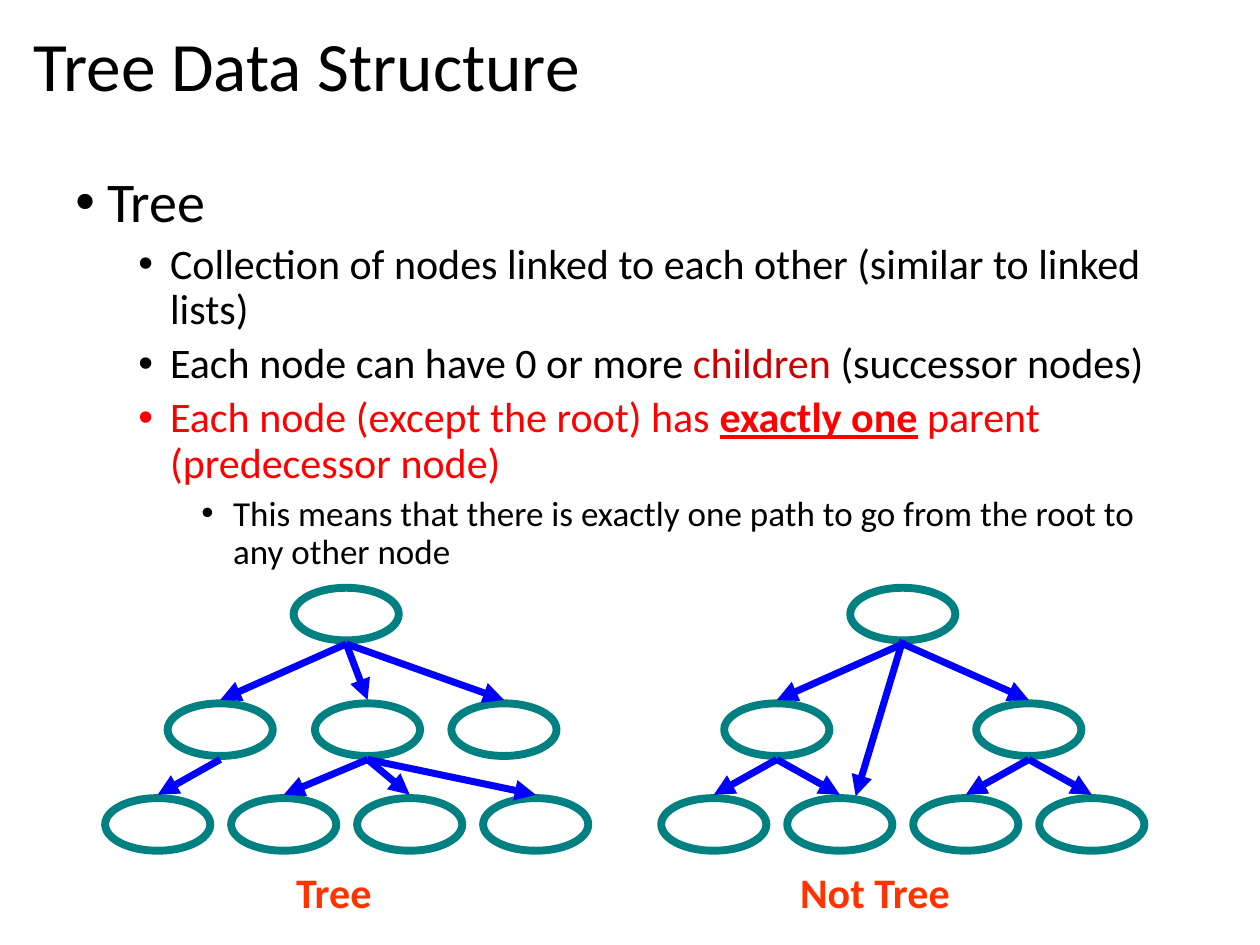
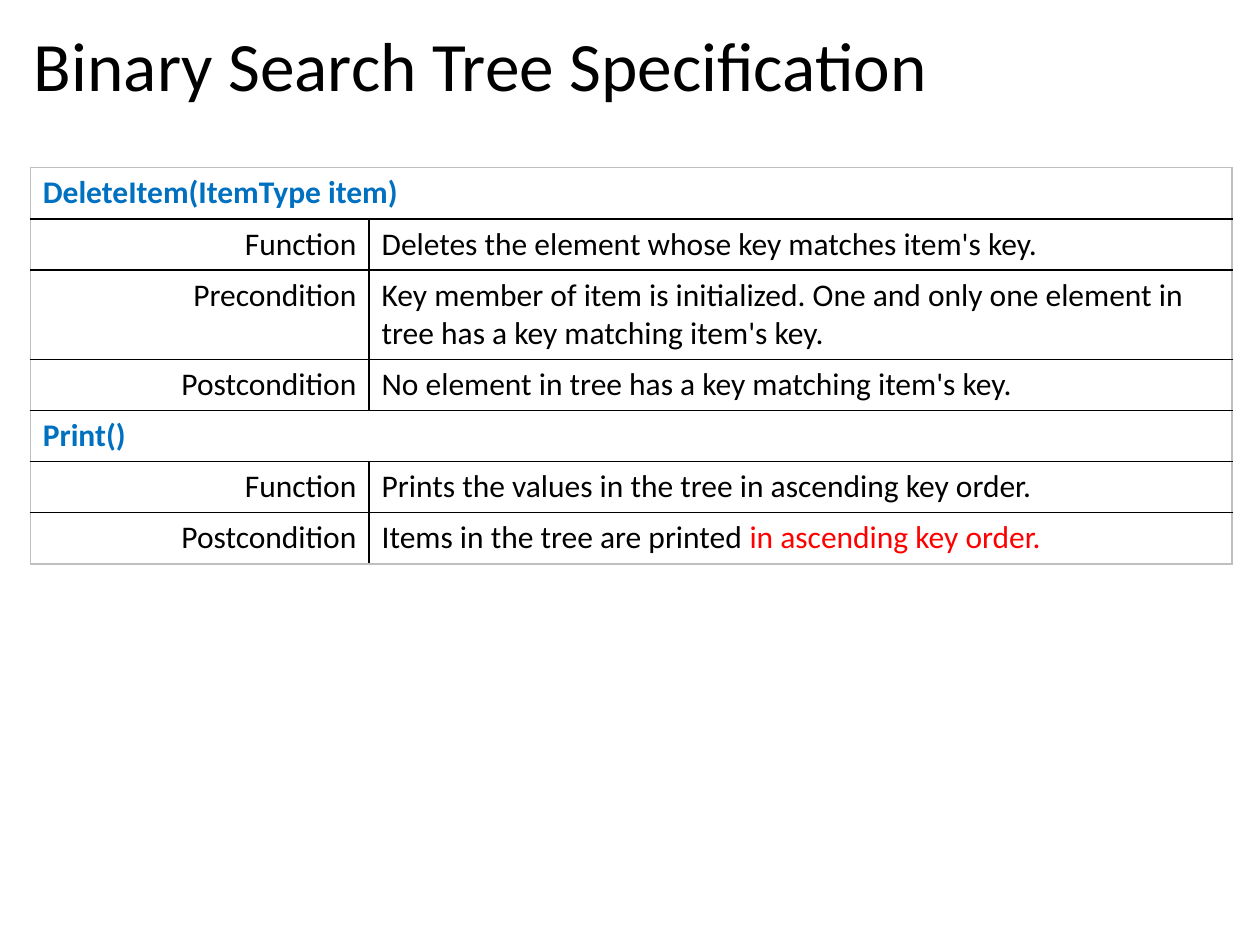
"""Builds two slides on tree data structures and a binary search tree specification."""
from dataclasses import dataclass

from lxml import etree
from pptx import Presentation
from pptx import util as u
from pptx.dml import color
from pptx.enum import shapes, text
from pptx.oxml import ns


@dataclass(frozen=True)
class Theme:
    font: str = "Calibri"
    ink: str = "000000"
    red: str = "FF0000"
    dark_red: str = "CC0000"
    label: str = "FF3300"
    heading: str = "0070C0"
    node: str = "008080"
    arrow: str = "0000FF"
    frame: str = "BFBFBF"
    title_size: float = 39.6
    level_sizes: tuple = (32, 24, 20)
    label_size: float = 24
    table_size: float = 18
    node_line: float = 4.5
    arrow_line: float = 4
    table_line: float = 1


@dataclass(frozen=True)
class Span:
    words: str
    color: str = Theme.ink
    bold: bool = False
    underline: bool = False


NODE_WIDTH, NODE_HEIGHT = 2.12, 1.06
LEVEL_TOPS = (11.85, 14.18, 16.09)
LEAF_STEP = 2.54
ARROW_GAP = 0.07
ROW_HEIGHT, TALL_ROW_HEIGHT = 1.03, 1.8


def rgb(value):
    return color.RGBColor.from_string(value)


def add_element(parent, tag, **attributes):
    return etree.SubElement(parent, ns.qn(tag), **attributes)


class Deck:
    def __init__(self, theme):
        self.theme = theme
        self.presentation = Presentation()
        self.presentation.slide_width = u.Cm(25.4)
        self.presentation.slide_height = u.Cm(19.05)
        self.slide = None

    def add_spans(self, paragraph, spans, size):
        for span in spans:
            run = paragraph.add_run()
            run.text = span.words
            font = run.font
            font.name, font.size = self.theme.font, u.Pt(size)
            font.bold, font.underline = span.bold, span.underline
            font.color.rgb = rgb(span.color)

    def new_slide(self, title):
        self.slide = self.presentation.slides.add_slide(self.presentation.slide_layouts[5])
        shape = self.slide.shapes.title
        shape.left, shape.top = u.Cm(0.43), u.Cm(0.46)
        shape.width, shape.height = u.Cm(24.43), u.Cm(1.88)
        frame = shape.text_frame
        frame.auto_size = text.MSO_AUTO_SIZE.NONE
        frame.vertical_anchor = text.MSO_ANCHOR.MIDDLE
        paragraph = frame.paragraphs[0]
        paragraph.alignment = text.PP_ALIGN.LEFT
        paragraph.line_spacing = 0.9
        self.add_spans(paragraph, [Span(title)], self.theme.title_size)

    def text_frame(self, left, top, width, height):
        box = self.slide.shapes.add_textbox(u.Cm(left), u.Cm(top), u.Cm(width), u.Cm(height))
        box.text_frame.word_wrap = True
        return box.text_frame

    def bullets(self, items):
        frame = self.text_frame(1.27, 3.38, 22.86, 15.24)
        for index, (level, spans) in enumerate(items):
            paragraph = frame.add_paragraph() if index else frame.paragraphs[0]
            paragraph.level = level
            properties = paragraph._p.get_or_add_pPr()
            properties.set("marL", str(u.Cm(0.64 + 1.27 * level)))
            properties.set("indent", str(-u.Cm(0.64)))
            add_element(properties, "a:buFont", typeface="Arial")
            add_element(properties, "a:buChar", char="•")
            paragraph.line_spacing = 0.9
            if index:
                paragraph.space_before = u.Pt(5)
            self.add_spans(paragraph, spans, self.theme.level_sizes[level])

    def label(self, words, left, width):
        frame = self.text_frame(left, 17.35, width, 1.27)
        span = Span(words, self.theme.label, bold=True)
        self.add_spans(frame.paragraphs[0], [span], self.theme.label_size)

    def node(self, center, top):
        shape = self.slide.shapes.add_shape(
            shapes.MSO_SHAPE.OVAL, u.Cm(center - NODE_WIDTH / 2), u.Cm(top),
            u.Cm(NODE_WIDTH), u.Cm(NODE_HEIGHT))
        shape.shadow.inherit = False
        shape.fill.background()
        shape.line.color.rgb = rgb(self.theme.node)
        shape.line.width = u.Pt(self.theme.node_line)

    def arrow(self, start, end):
        connector = self.slide.shapes.add_connector(
            shapes.MSO_CONNECTOR.STRAIGHT, *(u.Cm(value) for value in (*start, *end)))
        connector.line.color.rgb = rgb(self.theme.arrow)
        connector.line.width = u.Pt(self.theme.arrow_line)
        properties = connector._element.spPr
        add_element(properties.find(ns.qn("a:ln")), "a:tailEnd", type="triangle")
        add_element(properties, "a:effectLst")

    def tree(self, root, children, first_leaf, leaf_parents):
        leaves = [first_leaf + LEAF_STEP * index for index in range(len(leaf_parents))]
        for top, centers in zip(LEVEL_TOPS, ([root], children, leaves)):
            for center in centers:
                self.node(center, top)
        links = [(0, root, child) for child in children]
        links += [(1, children[parent], leaf) for parent, leaf in zip(leaf_parents, leaves)]
        for level, start, end in links:
            self.arrow((start, LEVEL_TOPS[level] + NODE_HEIGHT + ARROW_GAP),
                       (end, LEVEL_TOPS[level + 1] - ARROW_GAP))

    def borders(self, cell, outer):
        properties = cell._tc.get_or_add_tcPr()
        for side in "LRTB":
            line = add_element(properties, f"a:ln{side}", w=str(u.Pt(self.theme.table_line)))
            fill = add_element(line, "a:solidFill")
            add_element(fill, "a:srgbClr", val=self.theme.frame if side in outer else self.theme.ink)

    def specification(self, rows, tall_rows):
        heights = [TALL_ROW_HEIGHT if index in tall_rows else ROW_HEIGHT for index in range(len(rows))]
        widths = (6.83, 17.4)
        table = self.slide.shapes.add_table(
            len(rows), 2, u.Cm(0.61), u.Cm(3.38), u.Cm(sum(widths)), u.Cm(sum(heights))).table
        table.first_row = table.horz_banding = False
        for column, width in zip(table.columns, widths):
            column.width = u.Cm(width)
        for index, entries in enumerate(rows):
            table.rows[index].height = u.Cm(heights[index])
            is_heading = len(entries) == 1
            if is_heading:
                table.cell(index, 0).merge(table.cell(index, 1))
            vertical = "T" * (index == 0) + "B" * (index == len(rows) - 1)
            for column in range(2):
                cell = table.cell(index, column)
                self.borders(cell, vertical + ("LR" if is_heading else "LR"[column]))
                cell.fill.background()
            for column, spans in enumerate(entries):
                paragraph = table.cell(index, column).text_frame.paragraphs[0]
                if column == 0 and not is_heading:
                    paragraph.alignment = text.PP_ALIGN.RIGHT
                self.add_spans(paragraph, spans, self.theme.table_size)


def tree_slide(deck):
    theme = deck.theme
    deck.new_slide("Tree Data Structure")
    deck.bullets([
        (0, [Span("Tree")]),
        (1, [Span("Collection of nodes linked to each other (similar to linked lists)")]),
        (1, [Span("Each node can have 0 or more "), Span("children ", theme.dark_red),
             Span("(successor nodes)")]),
        (1, [Span("Each node (except the root) has ", theme.red),
             Span("exactly one", theme.red, bold=True, underline=True),
             Span(" parent (predecessor node)", theme.red)]),
        (2, [Span("This means that there is exactly one path to go from the root to any other node")]),
    ])
    deck.tree(18.2, (15.66, 20.74), 14.39, (0, 0, 1, 1))
    deck.tree(6.98, (4.44, 7.41, 10.16), 3.18, (0, 1, 1, 1))
    deck.label("Tree", 5.72, 2.31)
    deck.label("Not Tree", 15.88, 3.91)
    deck.arrow((18.2, 12.9), (17.25, 16.05))


def specification_slide(deck):
    theme = deck.theme

    def heading(words):
        return [[Span(words, theme.heading, bold=True)]]

    def entry(name, *spans):
        return [[Span(name)], spans]

    deck.new_slide("Binary Search Tree Specification")
    deck.specification([
        heading("DeleteItem(ItemType item)"),
        entry("Function", Span("Deletes the element whose key matches item's key.")),
        entry("Precondition", Span("Key member of item is initialized. One and only one element in "
                                   "tree has a key matching item's key.")),
        entry("Postcondition", Span("No element in tree has a key matching item's key.")),
        heading("Print()"),
        entry("Function", Span("Prints the values in the tree in ascending key order.")),
        entry("Postcondition", Span("Items in the tree are printed "),
              Span("in ascending key order.", theme.red)),
    ], tall_rows={2})


def main():
    deck = Deck(Theme())
    tree_slide(deck)
    specification_slide(deck)
    deck.presentation.save("out.pptx")


if __name__ == "__main__":
    main()
